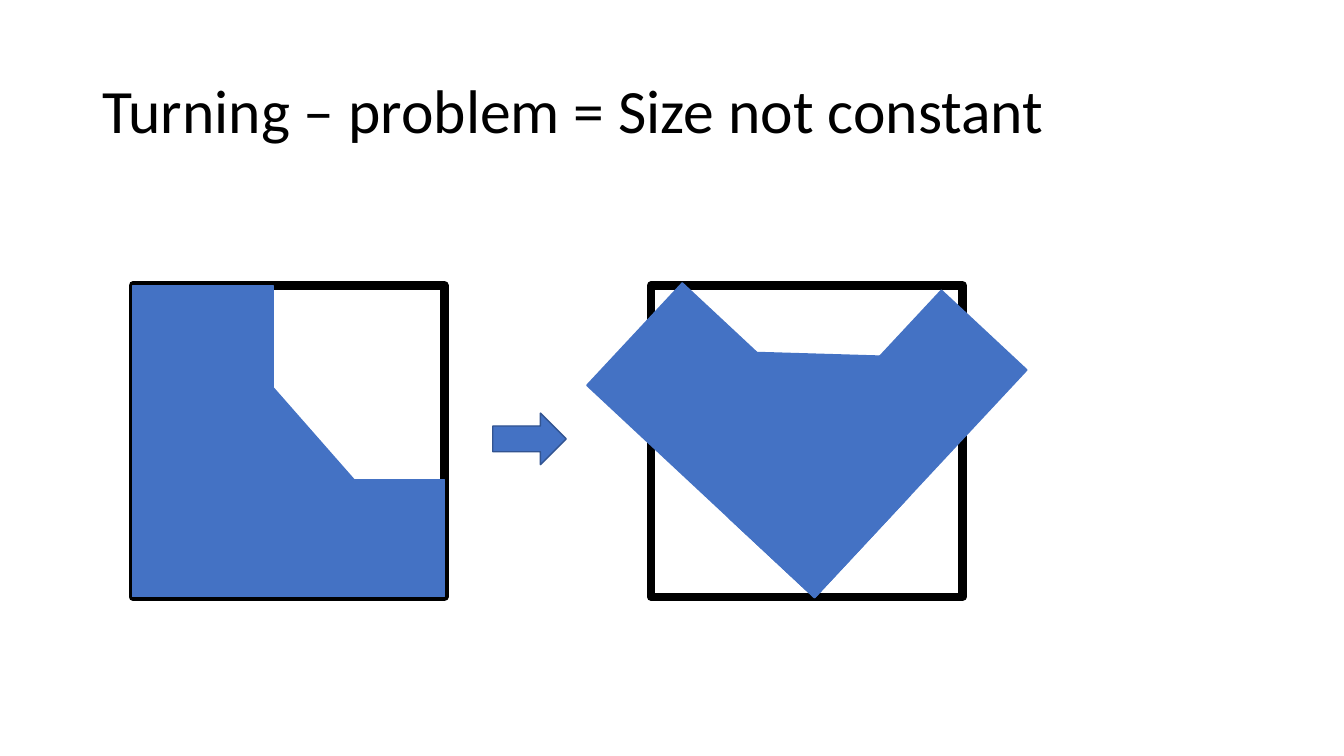
from dataclasses import dataclass
from typing import Optional

from pptx import Presentation
from pptx.dml.color import RGBColor
from pptx.enum.shapes import MSO_SHAPE
from pptx.enum.text import MSO_ANCHOR
from pptx.util import Cm, Pt

COLOURS = {"ink": "000000", "body": "4472C4", "arrow_edge": "325491"}
TITLE = "Turning – problem = Size not constant"
TITLE_FONT = {"name": "Calibri", "size": Pt(44)}
SIDE = 7.85
FRAME_TOP = 7.19
FRAME_LEFTS = (3.35, 16.41)


@dataclass(frozen=True)
class Box:
    """A preset shape, with lengths in centimetres."""
    left: float
    top: float
    width: float
    height: float
    line: str = "body"
    line_width: float = 1
    fill: Optional[str] = "body"
    rotation: float = 0
    kind: MSO_SHAPE = MSO_SHAPE.RECTANGLE


@dataclass(frozen=True)
class Pose:
    """Where the L-shaped body stands and how far it is turned."""
    left: float
    top: float
    rotation: float = 0


BODY_PARTS = (
    Box(0, 0, 3.53, SIDE),
    Box(0, SIDE - 2.95, SIDE, 2.95),
    Box(1.45, 3.66, 5.36, 1.57, rotation=48.7),
)
POSES = (Pose(FRAME_LEFTS[0], FRAME_TOP), Pose(FRAME_LEFTS[1], 5.59, 313))
FRAMES = [Box(left, FRAME_TOP, SIDE, SIDE, "ink", 6, None) for left in FRAME_LEFTS]
ARROW = Box(12.42, 10.41, 1.85, 1.3, "arrow_edge", kind=MSO_SHAPE.RIGHT_ARROW)


def colour(name: str) -> RGBColor:
    """Look up a named colour."""
    return RGBColor.from_string(COLOURS[name])


def apply_format(target, values: dict) -> None:
    """Set each attribute in values on the target."""
    for name, value in values.items():
        setattr(target, name, value)


def draw_box(shapes, box: Box, left: float = 0, top: float = 0) -> None:
    """Draw a box, shifted by left and top."""
    shape = shapes.add_shape(box.kind, Cm(left + box.left), Cm(top + box.top),
                             Cm(box.width), Cm(box.height))
    shape.rotation = box.rotation
    shape.shadow.inherit = False
    if box.fill:
        shape.fill.solid()
        shape.fill.fore_color.rgb = colour(box.fill)
    else:
        shape.fill.background()
    shape.line.color.rgb = colour(box.line)
    shape.line.width = Pt(box.line_width)


def draw_body(slide, pose: Pose) -> None:
    """Draw the L-shaped body as one group and turn it as a whole."""
    group = slide.shapes.add_group_shape()
    for part in BODY_PARTS:
        draw_box(group.shapes, part, pose.left, pose.top)
    group.rotation = pose.rotation


def draw_title(slide) -> None:
    """Write the slide title."""
    frame = slide.shapes.add_textbox(Cm(2.33), Cm(1.01), Cm(29.21), Cm(3.68)).text_frame
    apply_format(frame, {"word_wrap": True, "vertical_anchor": MSO_ANCHOR.MIDDLE})
    paragraph = frame.paragraphs[0]
    paragraph.line_spacing = 0.9
    run = paragraph.add_run()
    run.text = TITLE
    apply_format(run.font, TITLE_FONT)
    run.font.color.rgb = colour("ink")


def main() -> None:
    """Build and save the slide."""
    presentation = Presentation()
    apply_format(presentation, {"slide_width": Cm(33.87), "slide_height": Cm(19.05)})
    slide = presentation.slides.add_slide(presentation.slide_layouts[6])
    draw_title(slide)
    for frame in FRAMES:
        draw_box(slide.shapes, frame)
    for pose in POSES:
        draw_body(slide, pose)
    draw_box(slide.shapes, ARROW)
    presentation.save("out.pptx")


main()
